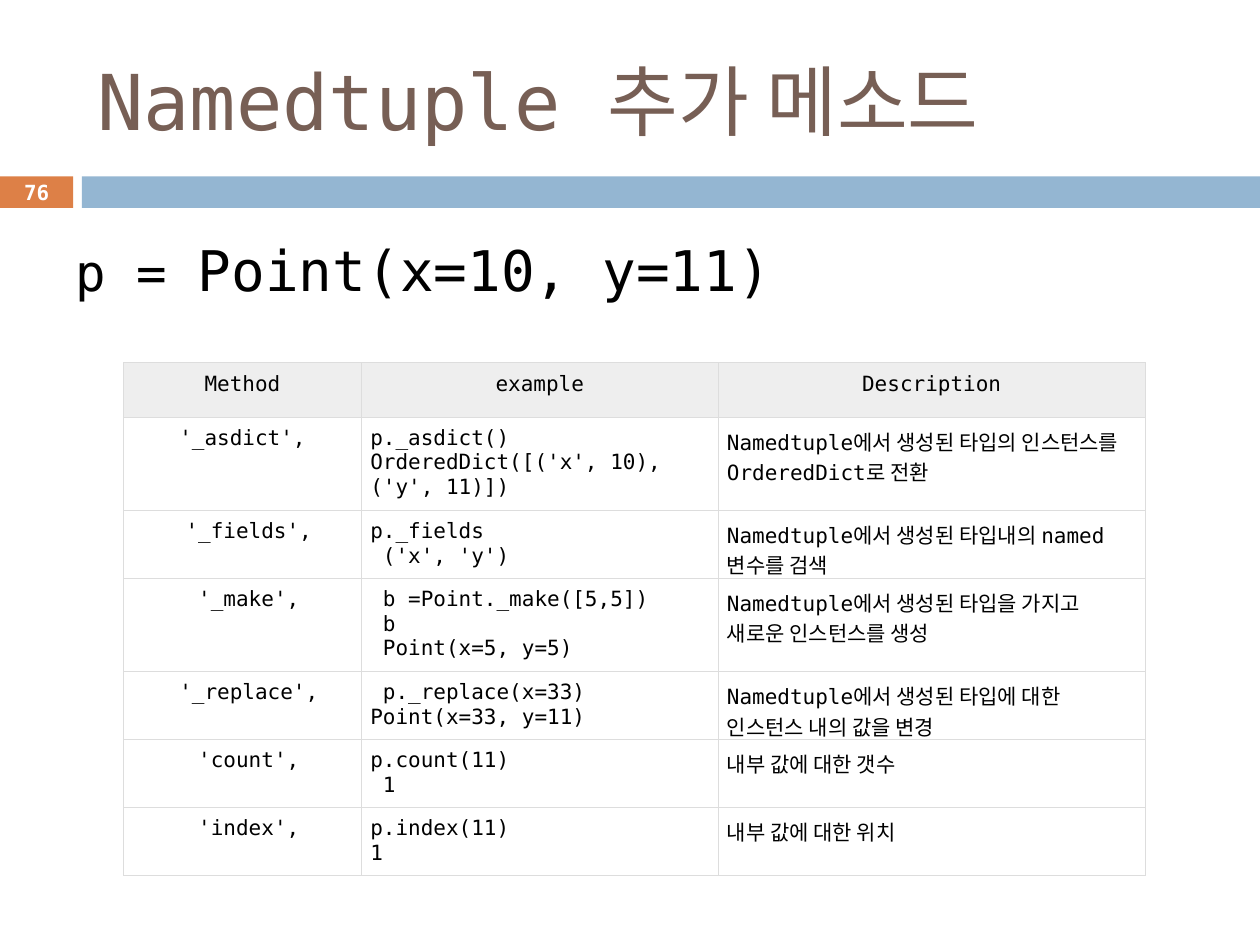
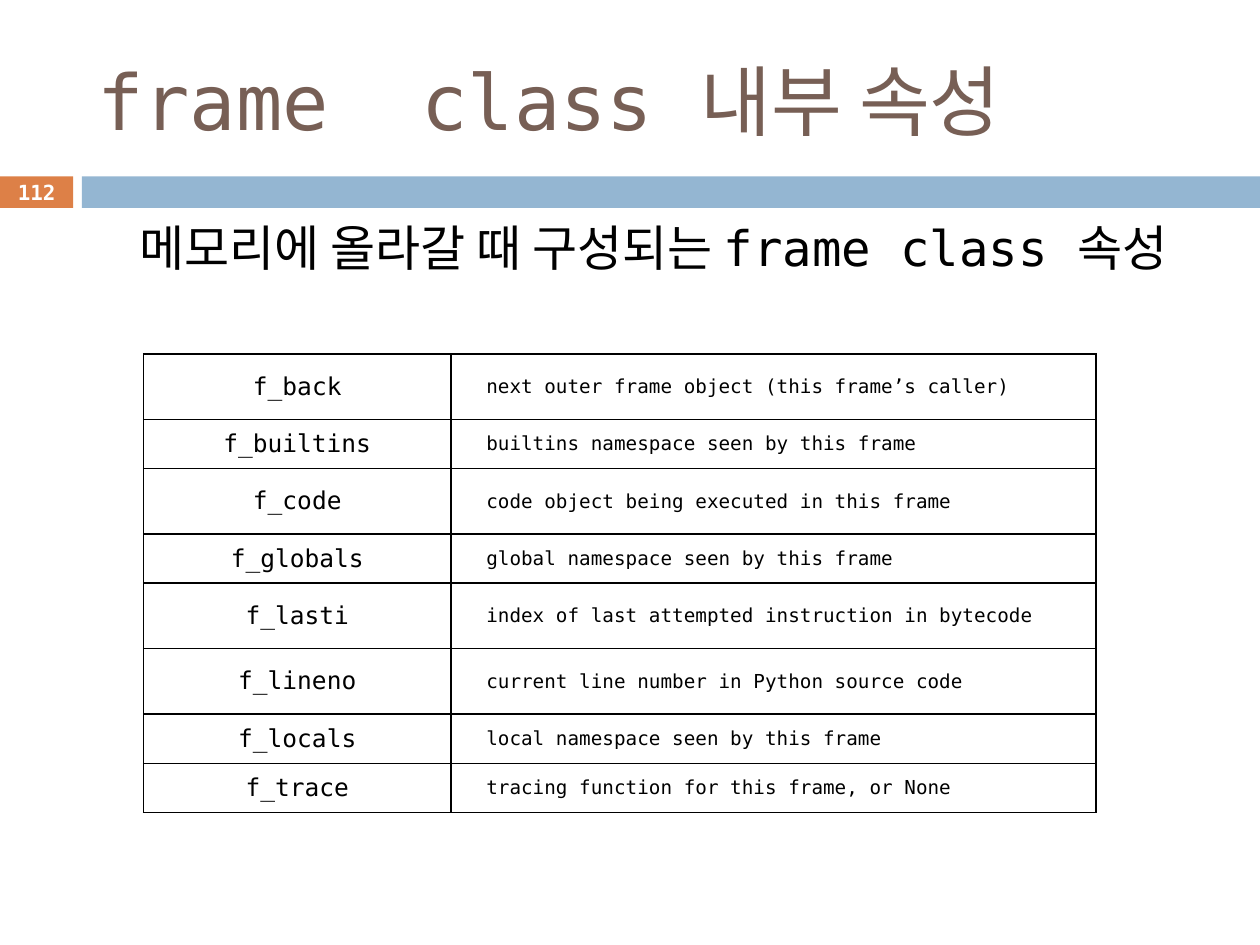
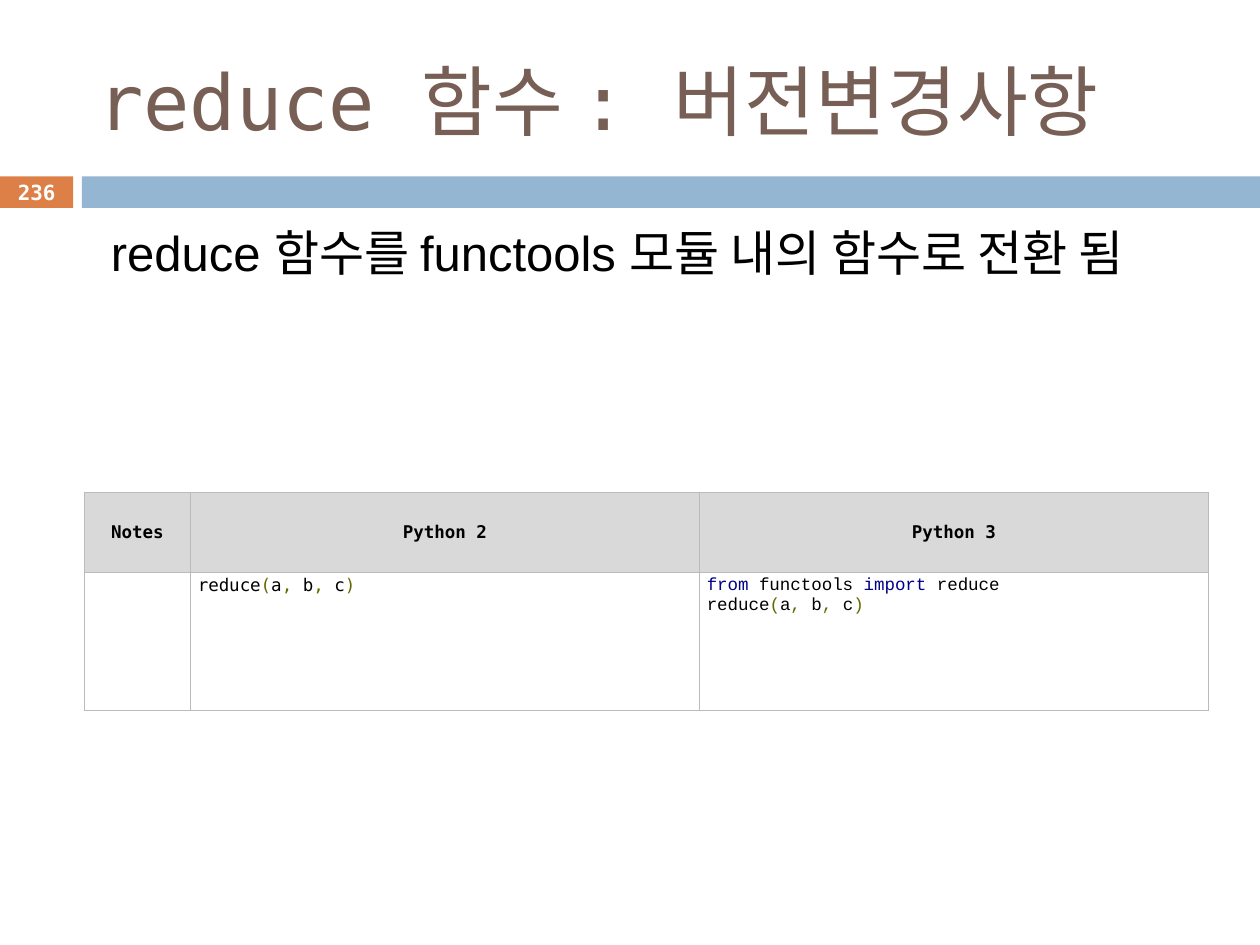
from dataclasses import dataclass
from itertools import groupby

from lxml.etree import SubElement
from pptx import Presentation
from pptx.dml.color import RGBColor
from pptx.enum.shapes import MSO_SHAPE
from pptx.enum.text import MSO_ANCHOR, MSO_AUTO_SIZE, PP_ALIGN
from pptx.oxml.ns import qn
from pptx.presentation import Presentation as Deck
from pptx.slide import Slide
from pptx.text.text import TextFrame, _Paragraph
from pptx.util import Inches, Pt

SLIDE_WIDTH, SLIDE_HEIGHT = Inches(10), Inches(7.5)
COLUMN, ROW = SLIDE_WIDTH / 100, SLIDE_HEIGHT / 75


@dataclass(frozen=True)
class Theme:
    """Colours, fonts and type sizes shared by the slides."""
    mono: str = "DejaVu Sans Mono"
    sans: str = "Arial"
    code: str = "Courier New"
    ink: str = "000000"
    white: str = "FFFFFF"
    title: str = "775F55"
    number_band: str = "DD8047"
    wide_band: str = "94B6D2"
    keyword: str = "000088"
    punctuation: str = "666600"
    title_size: float = 44
    number_size: float = 11.9


THEME = Theme()


@dataclass(frozen=True)
class Box:
    """A place on the grid of 100 columns and 75 rows."""
    left: float
    top: float
    width: float
    height: float

    def emu(self) -> tuple[int, ...]:
        """Return left, top, width and height as slide lengths."""
        units = (COLUMN, ROW, COLUMN, ROW)
        shares = (self.left, self.top, self.width, self.height)
        return tuple(round(share * unit) for share, unit in zip(shares, units))


@dataclass(frozen=True)
class Run:
    """A stretch of text in one style."""
    text: str
    size: float
    font: str = THEME.mono
    color: str = THEME.ink
    bold: bool = False


@dataclass(frozen=True)
class Lead:
    """The sentence under the bands; inset and indent are in grid units."""
    box: Box
    runs: tuple[Run, ...]
    inset_top: float
    indent: float = 0
    line_spacing: float = 1.0


@dataclass(frozen=True)
class Column:
    """Width and body style of one table column."""
    width: float
    size: float
    inset_left: float
    align: PP_ALIGN = PP_ALIGN.LEFT
    font: str = THEME.mono


@dataclass(frozen=True)
class Grid:
    """A table with its cell texts and looks, in grid units."""
    left: float
    top: float
    columns: tuple[Column, ...]
    row_heights: tuple[float, ...]
    cells: tuple[tuple[str, ...], ...]
    border: str
    border_width: float
    inset: float
    inset_top: float
    header_fill: str = ""
    header_bold: bool = False
    header_anchor: MSO_ANCHOR = MSO_ANCHOR.TOP
    body_anchor: MSO_ANCHOR = MSO_ANCHOR.TOP
    highlighted: bool = False


@dataclass(frozen=True)
class Page:
    """Everything that differs from slide to slide."""
    number: int
    title: str
    lead: Lead
    grid: Grid


TITLE_BOX = Box(6.7, 2.5, 89.2, 10.8)
NUMBER_BOX = Box(0, 13.9, 5.8, 2.7)
BANDS = ((Box(0, 14, 5.8, 2.5), THEME.number_band), (Box(6.5, 14, 93.5, 2.5), THEME.wide_band))

METHODS = (
    ("Method", "example", "Description"),
    ("'_asdict',", "p._asdict()\nOrderedDict([('x', 10), ('y', 11)])",
     "Namedtuple에서 생성된 타입의 인스턴스를 OrderedDict로 전환"),
    (" '_fields',", "p._fields\n ('x', 'y')",
     "Namedtuple에서 생성된 타입내의 named 변수를 검색"),
    (" '_make',", " b =Point._make([5,5])\n b\n Point(x=5, y=5)",
     "Namedtuple에서 생성된 타입을 가지고 새로운 인스턴스를 생성"),
    (" '_replace',", " p._replace(x=33)\nPoint(x=33, y=11)",
     "Namedtuple에서 생성된 타입에 대한 인스턴스 내의 값을 변경"),
    (" 'count',", "p.count(11)\n 1", "내부 값에 대한 갯수"),
    (" 'index',", "p.index(11)\n1", "내부 값에 대한 위치"),
)
FRAME_ATTRIBUTES = (
    ("f_back", "next outer frame object (this frame’s caller)"),
    ("f_builtins", "builtins namespace seen by this frame"),
    ("f_code", "code object being executed in this frame"),
    ("f_globals", "global namespace seen by this frame"),
    ("f_lasti", "index of last attempted instruction in bytecode"),
    ("f_lineno", "current line number in Python source code"),
    ("f_locals", "local namespace seen by this frame"),
    ("f_trace", "tracing function for this frame, or None"),
)
REDUCE_VERSIONS = (
    ("Notes", "Python 2", "Python 3"),
    ("", "reduce(a, b, c)", "from functools import reduce\nreduce(a, b, c)"),
)
TALL, SHORT = 5.2, 3.9

PAGES = (
    Page(
        76, "Namedtuple 추가 메소드",
        Lead(Box(5, 17.8, 90, 10.2), (Run("p = ", 29), Run("Point(x=10, y=11)", 32)), 0.9),
        Grid(9.8, 28.8,
             (Column(18.9, 12, 0.7, PP_ALIGN.CENTER), Column(28.3, 12, 0.7), Column(33.9, 12, 0.7)),
             (4.3,) + (3.1,) * 6, METHODS, "DDDDDD", 0.6, 0.7, 0.7, header_fill="EEEEEE"),
    ),
    Page(
        112, "frame  class 내부 속성",
        Lead(Box(5.1, 17.1, 90, 14.9), (Run("메모리에 올라갈 때 구성되는 frame class 속성", 28),),
             1.1, indent=5, line_spacing=0.8),
        Grid(11.4, 28.1, (Column(24.4, 14, 0.2, PP_ALIGN.CENTER), Column(51.2, 11, 2.8)),
             (TALL, SHORT, TALL, SHORT, TALL, TALL, SHORT, SHORT), FRAME_ATTRIBUTES,
             "000000", 1, 0.2, 0.1, body_anchor=MSO_ANCHOR.MIDDLE),
    ),
    Page(
        236, "reduce 함수 : 버전변경사항",
        Lead(Box(6.7, 17.5, 89.2, 13.7),
             (Run("reduce 함수를 functools 모듈 내의 함수로 전환 됨", 28, THEME.sans),),
             1.1, indent=1.1, line_spacing=0.8),
        Grid(6.7, 39.1,
             (Column(8.4, 10, 0.6), Column(40.4, 10, 0.6), Column(40.4, 10, 0.6, font=THEME.code)),
             (6.3, 11), REDUCE_VERSIONS, "BBBBBB", 0.6, 0.6, 0.3, header_fill="D9D9D9",
             header_bold=True, header_anchor=MSO_ANCHOR.MIDDLE, highlighted=True),
    ),
)


def apply(target: object, values: dict[str, object]) -> None:
    """Set each named attribute of the target."""
    for name, value in values.items():
        setattr(target, name, value)


def write_runs(paragraph: _Paragraph, runs: tuple[Run, ...]) -> None:
    """Add the styled runs to a paragraph."""
    for run in runs:
        written = paragraph.add_run()
        written.text = run.text
        apply(written.font, {"name": run.font, "size": Pt(run.size), "bold": run.bold})
        written.font.color.rgb = RGBColor.from_string(run.color)


def highlight(line: str, size: float, font: str) -> tuple[Run, ...]:
    """Split a line of code into runs coloured by syntax."""
    def kind(character: str) -> str:
        return "mark" if character in "(,)" else "gap" if character == " " else "word"

    runs = []
    for token_kind, characters in groupby(line, kind):
        token = "".join(characters)
        color = THEME.keyword if token in ("from", "import") else THEME.ink
        runs.append(Run(token, size, font, THEME.punctuation if token_kind == "mark" else color))
    return tuple(runs)


def add_text(slide: Slide, box: Box, runs: tuple[Run, ...]) -> TextFrame:
    """Add a wrapping text box with one paragraph."""
    frame = slide.shapes.add_textbox(*box.emu()).text_frame
    frame.word_wrap = True
    write_runs(frame.paragraphs[0], runs)
    return frame


def add_title(slide: Slide, title: str) -> None:
    """Place and format the title placeholder."""
    heading = slide.shapes.title
    apply(heading, dict(zip(("left", "top", "width", "height"), TITLE_BOX.emu())))
    apply(heading.text_frame, {"vertical_anchor": MSO_ANCHOR.MIDDLE, "word_wrap": True,
                               "auto_size": MSO_AUTO_SIZE.NONE})
    paragraph = heading.text_frame.paragraphs[0]
    paragraph.alignment = PP_ALIGN.LEFT
    write_runs(paragraph, (Run(title, THEME.title_size, color=THEME.title),))


def add_bands(slide: Slide, number: int) -> None:
    """Draw the two bands and the slide number."""
    for box, color in BANDS:
        band = slide.shapes.add_shape(MSO_SHAPE.RECTANGLE, *box.emu())
        band.shadow.inherit = False
        band.fill.solid()
        band.fill.fore_color.rgb = RGBColor.from_string(color)
        band.line.fill.background()
    frame = add_text(slide, NUMBER_BOX,
                     (Run(str(number), THEME.number_size, color=THEME.white, bold=True),))
    apply(frame, {"vertical_anchor": MSO_ANCHOR.MIDDLE, "margin_left": 0, "margin_right": 0,
                  "margin_top": 0, "margin_bottom": 0})
    frame.paragraphs[0].alignment = PP_ALIGN.CENTER


def add_lead(slide: Slide, lead: Lead) -> None:
    """Write the sentence under the bands."""
    frame = add_text(slide, lead.box, lead.runs)
    apply(frame, {"margin_left": round((1 + lead.indent) * COLUMN),
                  "margin_top": round(lead.inset_top * ROW)})
    frame.paragraphs[0].line_spacing = lead.line_spacing


def add_grid(slide: Slide, grid: Grid) -> None:
    """Build the table with its borders, fills and texts."""
    box = Box(grid.left, grid.top, sum(column.width for column in grid.columns),
              sum(grid.row_heights))
    table = slide.shapes.add_table(len(grid.cells), len(grid.columns), *box.emu()).table
    apply(table, {"first_row": bool(grid.header_fill), "horz_banding": False})
    for column, style in zip(table.columns, grid.columns):
        column.width = round(style.width * COLUMN)
    for row, height in zip(table.rows, grid.row_heights):
        row.height = round(height * ROW)
    for row_index, texts in enumerate(grid.cells):
        is_header = bool(grid.header_fill) and row_index == 0
        for column_index, (text, column) in enumerate(zip(texts, grid.columns)):
            cell = table.cell(row_index, column_index)
            apply(cell, {
                "margin_left": round(column.inset_left * COLUMN),
                "margin_right": round(grid.inset * COLUMN),
                "margin_top": round(grid.inset_top * ROW),
                "margin_bottom": round(grid.inset_top * ROW),
                "vertical_anchor": grid.header_anchor if is_header else grid.body_anchor,
            })
            properties = cell._tc.get_or_add_tcPr()
            for side in ("a:lnL", "a:lnR", "a:lnT", "a:lnB"):
                line = SubElement(properties, qn(side), w=str(Pt(grid.border_width)))
                SubElement(SubElement(line, qn("a:solidFill")), qn("a:srgbClr"), val=grid.border)
            cell.fill.solid()
            cell.fill.fore_color.rgb = RGBColor.from_string(
                grid.header_fill if is_header else THEME.white)
            for line_index, content in enumerate(text.split("\n") if text else ()):
                frame = cell.text_frame
                paragraph = frame.add_paragraph() if line_index else frame.paragraphs[0]
                paragraph.alignment = PP_ALIGN.CENTER if is_header else column.align
                if grid.highlighted and not is_header:
                    write_runs(paragraph, highlight(content, column.size, column.font))
                else:
                    write_runs(paragraph, (Run(content, column.size,
                                               bold=is_header and grid.header_bold),))


def add_page(deck: Deck, page: Page) -> None:
    """Add one slide with all its parts."""
    slide = deck.slides.add_slide(deck.slide_layouts[5])
    add_bands(slide, page.number)
    add_title(slide, page.title)
    add_lead(slide, page.lead)
    add_grid(slide, page.grid)


def main() -> None:
    """Build the slides and save them."""
    deck = Presentation()
    apply(deck, {"slide_width": SLIDE_WIDTH, "slide_height": SLIDE_HEIGHT})
    for page in PAGES:
        add_page(deck, page)
    deck.save("out.pptx")


if __name__ == "__main__":
    main()
